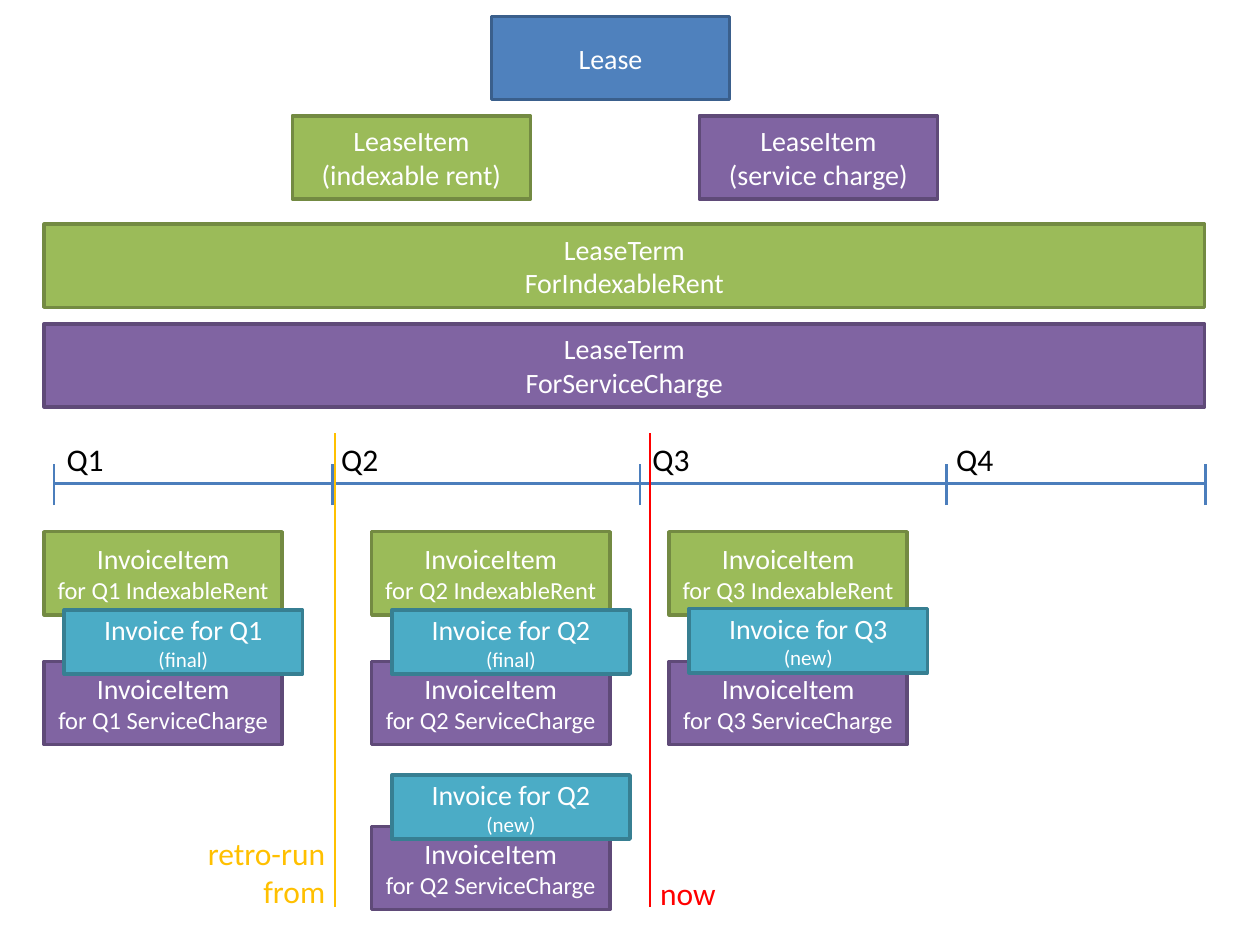
from dataclasses import dataclass

from pptx import Presentation
from pptx.dml.color import RGBColor
from pptx.enum.shapes import MSO_CONNECTOR, MSO_SHAPE
from pptx.enum.text import MSO_ANCHOR, MSO_AUTO_SIZE, PP_ALIGN
from pptx.oxml.ns import qn
from pptx.util import Inches, Pt


@dataclass(frozen=True)
class Theme:
    """Colours as (fill, outline) pairs or single values, and type sizes."""
    font: str = "Calibri"
    lease: tuple = ("4F81BD", "3A5F8C")
    rent: tuple = ("9BBB59", "738A42")
    service: tuple = ("8064A2", "5F4A78")
    invoice: tuple = ("4BACC6", "377F92")
    axis: str = "4B7EBC"
    now: str = "FF0000"
    retro: str = "FFC000"
    light: str = "FFFFFF"
    dark: str = "000000"
    label: int = 18
    body: int = 16
    detail: int = 14
    status: int = 12
    outline: float = 2
    rule: float = 1.5


THEME = Theme()

# Content: left, top, width, colours, lines of text
BOX_WIDTH, BOX_HEIGHT, INVOICE_HEIGHT = 1.89, 0.66, 0.51
LEFT, TERM_WIDTH = 0.35, 9.21
LEASE_BOXES = [
    (3.9, 0.13, BOX_WIDTH, THEME.lease, ["Lease"]),
    (2.32, 0.92, BOX_WIDTH, THEME.rent, ["LeaseItem", "(indexable rent)"]),
    (5.55, 0.92, BOX_WIDTH, THEME.service, ["LeaseItem", "(service charge)"]),
    (LEFT, 1.78, TERM_WIDTH, THEME.rent, ["LeaseTerm", "ForIndexableRent"]),
    (LEFT, 2.57, TERM_WIDTH, THEME.service, ["LeaseTerm", "ForServiceCharge"]),
]

# Timeline: tick positions, and label positions by quarter
TICKS = [0.43, 2.64, 5.08, 7.51, 9.57]
AXIS_TOP, TICK_TOP, TICK_BOTTOM = 3.84, 3.68, 4.01
LABEL_TOP = 3.44
QUARTER_LABELS = {"Q1": 0.43, "Q2": 2.61, "Q3": 5.08, "Q4": 7.49}
MARKER_BOTTOM = 7.2
MARKERS = [(5.16, THEME.now), (2.66, THEME.retro)]

# Invoices: quarter, left, invoice top, status
RENT_TOP, SERVICE_TOP = 4.22, 5.25
INVOICES = [
    ("Q1", LEFT, 4.84, "final"),
    ("Q2", 2.95, 4.84, "final"),
    ("Q3", 5.31, 4.83, "new"),
]
RERUN = ("Q2", 2.95, 6.15, "new")
RERUN_SERVICE_TOP = 6.56
INVOICE_INDENT = 0.16


def add_lines(paragraph, lines, colour):
    """Write (text, size) lines into one paragraph, with line breaks between."""
    for index, (text, size) in enumerate(lines):
        if index:
            paragraph.add_line_break()
        run = paragraph.add_run()
        run.text = text
        run.font.name = THEME.font
        run.font.size = Pt(size)
        run.font.color.rgb = RGBColor.from_string(colour)


def add_box(slide, left, top, width, height, colours, lines):
    """Add an outlined rectangle with centred text."""
    shape = slide.shapes.add_shape(
        MSO_SHAPE.RECTANGLE, Inches(left), Inches(top), Inches(width), Inches(height))
    fill, outline = colours
    shape.shadow.inherit = False
    shape.fill.solid()
    shape.fill.fore_color.rgb = RGBColor.from_string(fill)
    shape.line.color.rgb = RGBColor.from_string(outline)
    shape.line.width = Pt(THEME.outline)
    frame = shape.text_frame
    frame.word_wrap = True
    frame.vertical_anchor = MSO_ANCHOR.MIDDLE
    paragraph = frame.paragraphs[0]
    paragraph.alignment = PP_ALIGN.CENTER
    add_lines(paragraph, lines, THEME.light)


def add_label(slide, left, top, width, height, texts, colour, alignment=PP_ALIGN.LEFT):
    """Add an unwrapped text label."""
    box = slide.shapes.add_textbox(
        Inches(left), Inches(top), Inches(width), Inches(height))
    frame = box.text_frame
    frame.word_wrap = False
    frame.auto_size = MSO_AUTO_SIZE.SHAPE_TO_FIT_TEXT
    paragraph = frame.paragraphs[0]
    paragraph.alignment = alignment
    add_lines(paragraph, [(text, THEME.label) for text in texts], colour)


def add_rule(slide, start, end, colour):
    """Add a straight line without a shadow."""
    connector = slide.shapes.add_connector(
        MSO_CONNECTOR.STRAIGHT, *(Inches(value) for value in (*start, *end)))
    connector.line.color.rgb = RGBColor.from_string(colour)
    connector.line.width = Pt(THEME.rule)
    properties = connector._element.spPr
    properties.append(properties.makeelement(qn("a:effectLst"), {}))


def add_timeline(slide):
    """Draw the axis, its ticks and the quarter labels."""
    add_rule(slide, (TICKS[0], AXIS_TOP), (TICKS[-1], AXIS_TOP), THEME.axis)
    for tick in TICKS:
        add_rule(slide, (tick, TICK_BOTTOM), (tick, TICK_TOP), THEME.axis)
    for quarter, left in QUARTER_LABELS.items():
        add_label(slide, left, LABEL_TOP, 0.5, 0.4, [quarter], THEME.dark)


def add_invoice_item(slide, quarter, left, top, kind, colours):
    """Add the box for one invoice item."""
    lines = [("InvoiceItem", THEME.body), (f"for {quarter} {kind}", THEME.detail)]
    add_box(slide, left, top, BOX_WIDTH, BOX_HEIGHT, colours, lines)


def add_invoice(slide, quarter, left, top, status, service_top):
    """Add a service charge item with its invoice overlapping it."""
    add_invoice_item(slide, quarter, left, service_top, "ServiceCharge", THEME.service)
    lines = [(f"Invoice for {quarter}", THEME.body), (f"({status})", THEME.status)]
    add_box(slide, left + INVOICE_INDENT, top, BOX_WIDTH, INVOICE_HEIGHT,
            THEME.invoice, lines)


def main():
    """Build and save the slide."""
    presentation = Presentation()
    presentation.slide_width = Inches(10)
    presentation.slide_height = Inches(7.5)
    slide = presentation.slides.add_slide(presentation.slide_layouts[6])

    add_timeline(slide)
    for invoice in INVOICES:
        add_invoice_item(slide, *invoice[:2], RENT_TOP, "IndexableRent", THEME.rent)
        add_invoice(slide, *invoice, SERVICE_TOP)
    add_invoice(slide, *RERUN, RERUN_SERVICE_TOP)

    add_label(slide, 5.14, 6.89, 0.65, 0.4, ["now"], THEME.now)
    add_label(slide, 1.54, 6.57, 1.14, 0.71, ["retro-run", "from"], THEME.retro,
              PP_ALIGN.RIGHT)
    for left, top, width, colours, texts in LEASE_BOXES:
        lines = [(text, THEME.body) for text in texts]
        add_box(slide, left, top, width, BOX_HEIGHT, colours, lines)
    for left, colour in MARKERS:
        add_rule(slide, (left, MARKER_BOTTOM), (left, LABEL_TOP), colour)

    presentation.save("out.pptx")


main()
